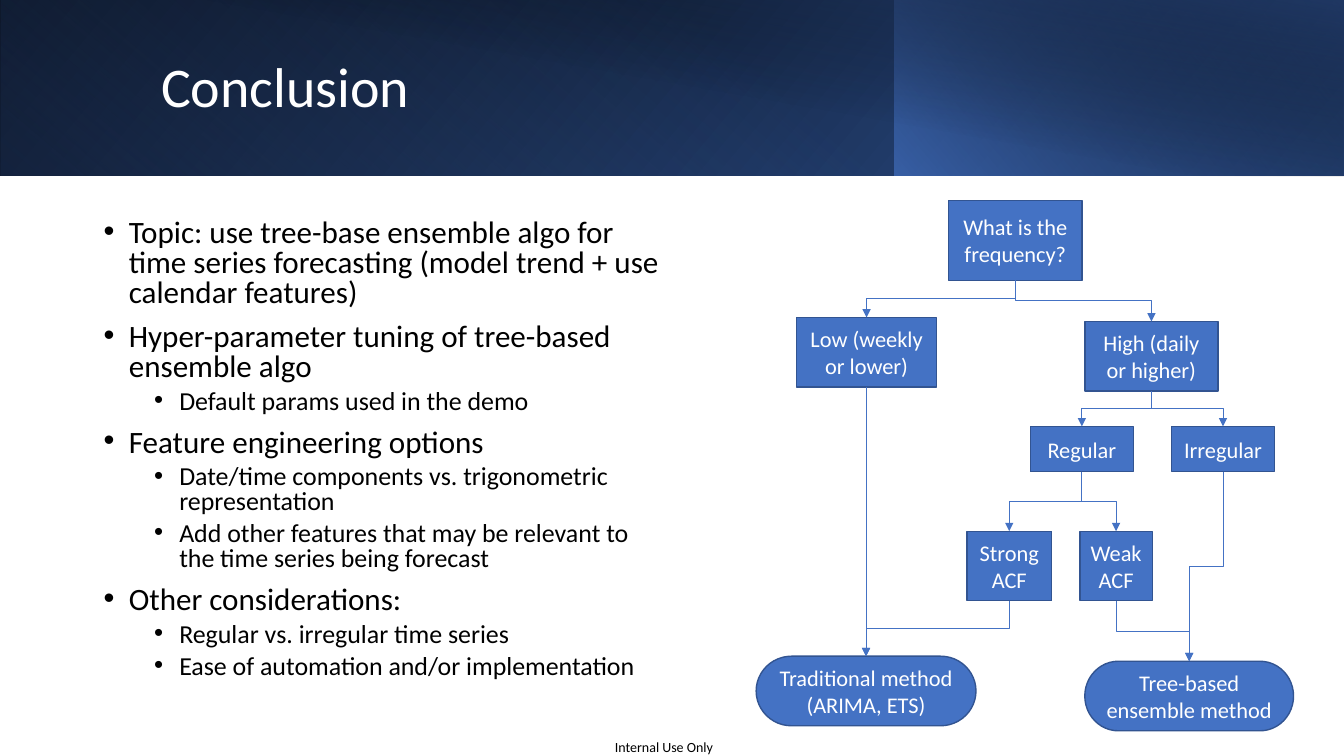
from lxml import etree
from pptx import Presentation
from pptx import util as u
from pptx.dml.color import RGBColor
from pptx.enum import shapes, text
from pptx.oxml import parse_xml
from pptx.oxml.ns import nsdecls, qn

COLOURS = {
    "black": "000000", "white": "FFFFFF", "blue": "4472C4",
    "outline": "325491", "steel": "2F5597", "navy": "203864",
}
FONT = "Calibri"

BANNER = [
    ((0, 0, 13.33, 1.74), 140, [(0, "black", 100), (100, "steel", 100)], {"flipH": "1"}),
    ((0, 0, 8.88, 1.74), 230, [(20, "blue", 0), (100, "navy", 55)],
     {"flipH": "1", "rot": "10800000"}),
    ((8.87, 0, 4.46, 1.74), 220, [(0, "blue", 66), (100, "black", 30)], {"flipH": "1"}),
    ((0.5, 0, 12.83, 1.75), 280, [(50, "black", 0), (99, "navy", 52)], {}),
]

POINTS = [
    (0, "Topic: use tree-base ensemble algo for time series forecasting "
        "(model trend + use calendar features)"),
    (0, "Hyper-parameter tuning of tree-based ensemble algo"),
    (1, "Default params used in the demo"),
    (0, "Feature engineering options"),
    (1, "Date/time components vs. trigonometric representation"),
    (1, "Add other features that may be relevant to the time series being forecast"),
    (0, "Other considerations:"),
    (1, "Regular vs. irregular time series"),
    (1, "Ease of automation and/or implementation"),
]
LEVELS = [
    {"size": 22.2, "before": 10, "margin": 0.25},
    {"size": 18.5, "before": 5, "margin": 0.75},
]

PROCESS = shapes.MSO_SHAPE.FLOWCHART_PROCESS
TERMINATOR = shapes.MSO_SHAPE.FLOWCHART_TERMINATOR
NODES = {
    "frequency": (PROCESS, (9.41, 1.99, 1.32, 0.79), "What is the frequency?"),
    "low": (PROCESS, (7.9, 3.15, 1.39, 0.69), "Low (weekly or lower)"),
    "high": (PROCESS, (10.76, 3.19, 1.32, 0.69), "High (daily or higher)"),
    "traditional": (TERMINATOR, (7.5, 6.51, 2.18, 0.69), "Traditional method (ARIMA, ETS)"),
    "regular": (PROCESS, (10.22, 4.23, 1.02, 0.45), "Regular"),
    "irregular": (PROCESS, (11.62, 4.23, 1.02, 0.45), "Irregular"),
    "strong": (PROCESS, (9.59, 5.27, 0.84, 0.69), "Strong ACF"),
    "weak": (PROCESS, (10.71, 5.27, 0.72, 0.69), "Weak ACF"),
    "ensemble": (TERMINATOR, (10.76, 6.56, 2.07, 0.69), "Tree-based ensemble method"),
}
BRANCHES = [
    ("frequency", "low"), ("frequency", "high"), ("low", "traditional"),
    ("high", "regular"), ("high", "irregular"), ("regular", "strong"),
    ("strong", "traditional"), ("regular", "weak"), ("weak", "ensemble"),
    ("irregular", "ensemble"),
]


def apply(target, values):
    for name, value in values.items():
        setattr(target, name, value)


def colour(name):
    return RGBColor.from_string(COLOURS[name])


def box(bounds):
    return [u.Inches(value) for value in bounds]


class SlideBuilder:
    def __init__(self, slide):
        self.slide = slide

    def add_words(self, paragraph, words, size, ink, **layout):
        run = paragraph.add_run()
        run.text = words
        apply(run.font, {"name": FONT, "size": u.Pt(size)})
        run.font.color.rgb = colour(ink)
        apply(paragraph, layout)

    def text_box(self, bounds, **frame_values):
        frame = self.slide.shapes.add_textbox(*box(bounds)).text_frame
        apply(frame, {"word_wrap": True, **frame_values})
        return frame

    def gradient_panel(self, bounds, angle, stops, turns):
        shape = self.slide.shapes.add_shape(shapes.MSO_SHAPE.RECTANGLE, *box(bounds))
        shape.shadow.inherit = False
        shape.line.fill.background()
        marks = "".join(
            f'<a:gs pos="{position * 1000}"><a:srgbClr val="{COLOURS[name]}">'
            f'<a:alpha val="{opacity * 1000}"/></a:srgbClr></a:gs>'
            for position, name, opacity in stops)
        gradient = parse_xml(
            f'<a:gradFill {nsdecls("a")} rotWithShape="1"><a:gsLst>{marks}</a:gsLst>'
            f'<a:lin ang="{angle * 60000}" scaled="0"/></a:gradFill>')
        properties = shape.element.spPr
        properties.find(qn("a:prstGeom")).addnext(gradient)
        for name, value in turns.items():
            properties.xfrm.set(name, value)

    def bullets(self, bounds, points):
        frame = self.text_box(bounds, vertical_anchor=text.MSO_ANCHOR.MIDDLE)
        for index, (level, words) in enumerate(points):
            paragraph = frame.add_paragraph() if index else frame.paragraphs[0]
            style = LEVELS[level]
            properties = paragraph._p.get_or_add_pPr()
            properties.set("marL", str(u.Inches(style["margin"])))
            properties.set("indent", str(u.Inches(-0.25)))
            etree.SubElement(properties, qn("a:buFont")).set("typeface", "Arial")
            etree.SubElement(properties, qn("a:buChar")).set("char", "•")
            self.add_words(paragraph, words, style["size"], "black", level=level,
                           line_spacing=0.8,
                           space_before=u.Pt(style["before"] if index else 0))

    def node(self, kind, bounds, words):
        shape = self.slide.shapes.add_shape(kind, *box(bounds))
        shape.shadow.inherit = False
        shape.fill.solid()
        shape.fill.fore_color.rgb = colour("blue")
        shape.line.color.rgb = colour("outline")
        shape.line.width = u.Pt(1)
        apply(shape.text_frame, {"word_wrap": True, "vertical_anchor": text.MSO_ANCHOR.MIDDLE})
        self.add_words(shape.text_frame.paragraphs[0], words, 16, "white",
                       alignment=text.PP_ALIGN.CENTER)
        return shape

    def branch(self, parent, child):
        start_x, start_y = parent.left + parent.width // 2, parent.top + parent.height
        end_x, end_y = child.left + child.width // 2, child.top
        connector = self.slide.shapes.add_connector(
            shapes.MSO_CONNECTOR.ELBOW, start_x, start_y, end_x, end_y)
        connector.begin_connect(parent, 2)
        connector.end_connect(child, 0)
        drop, shift = end_y - start_y, abs(end_x - start_x)
        apply(connector, {
            "left": (start_x + end_x - drop) // 2, "top": (start_y + end_y - shift) // 2,
            "width": drop, "height": shift})
        properties = connector.element.spPr
        rightward = end_x > start_x
        apply(properties.xfrm, {
            "rot": 270 if rightward else 90, "flipH": rightward, "flipV": False})
        connector.line.color.rgb = colour("blue")
        connector.line.width = u.Pt(0.5)
        line = properties.find(qn("a:ln"))
        etree.SubElement(line, qn("a:tailEnd")).set("type", "triangle")
        etree.SubElement(properties, qn("a:effectLst"))


def main():
    presentation = Presentation()
    apply(presentation, {"slide_width": u.Inches(13.33), "slide_height": u.Inches(7.5)})
    builder = SlideBuilder(presentation.slides.add_slide(presentation.slide_layouts[6]))

    footer = builder.text_box((6.08, 7.33, 1.01, 0.17), word_wrap=False, margin_left=0,
                              margin_right=0, margin_top=0, margin_bottom=0)
    builder.add_words(footer.paragraphs[0], "Internal Use Only", 10, "black",
                      alignment=text.PP_ALIGN.CENTER)
    for panel in BANNER:
        builder.gradient_panel(*panel)
    title = builder.text_box((1.5, 0.32, 10.82, 1.13), vertical_anchor=text.MSO_ANCHOR.MIDDLE)
    builder.add_words(title.paragraphs[0], "Conclusion", 40, "white", line_spacing=0.9)
    builder.bullets((0.93, 2.1, 5.74, 4.73), POINTS)

    nodes = {name: builder.node(*details) for name, details in NODES.items()}
    for parent, child in BRANCHES:
        builder.branch(nodes[parent], nodes[child])
    presentation.save("out.pptx")


if __name__ == "__main__":
    main()
